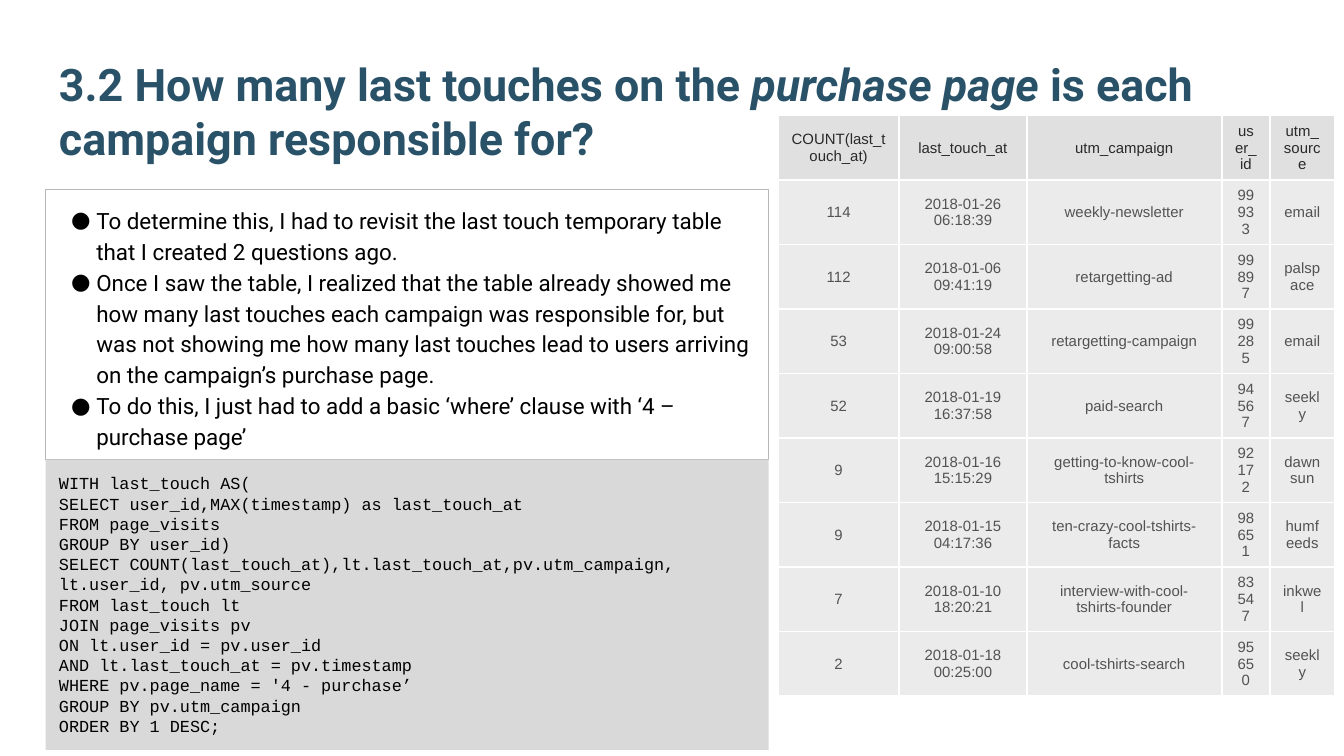
import pptx
import pptx.dml.color
import pptx.enum.shapes
import pptx.enum.text
import pptx.oxml
import pptx.oxml.ns
import pptx.util

COLORS = {
    "title": "295269", "text": "000000", "outline": "B7B7B7", "code": "D9D9D9",
    "header": "E0E0E0", "header text": "292929",
    "body": "EBEBEB", "body text": "525252", "rule": "FFFFFF",
}
WIDTH = 10
HEIGHT = WIDTH * 9 / 16
CELL = 0.1  # side of a grid cell, in inches

TITLE = [
    ("3.2 How many last touches on the ", False),
    ("purchase page ", True),
    ("is each campaign responsible for?", False),
]
FINDINGS = [
    "To determine this, I had to revisit the last touch temporary table that I created "
    "2 questions ago.",
    "Once I saw the table, I realized that the table already showed me how many last touches "
    "each campaign was responsible for, but was not showing me how many last touches lead to "
    "users arriving on the campaign’s purchase page.",
    "To do this, I just had to add a basic ‘where’ clause with ‘4 – purchase page’",
]
QUERY = """WITH last_touch AS(
SELECT user_id,MAX(timestamp) as last_touch_at
FROM page_visits
GROUP BY user_id)
SELECT COUNT(last_touch_at),lt.last_touch_at,pv.utm_campaign, lt.user_id, pv.utm_source
FROM last_touch lt
JOIN page_visits pv
ON lt.user_id = pv.user_id
AND lt.last_touch_at = pv.timestamp
WHERE pv.page_name = '4 - purchase’
GROUP BY pv.utm_campaign
ORDER BY 1 DESC;"""
TOUCHES = [
    ("COUNT(last_touch_at)", "last_touch_at", "utm_campaign", "user_id", "utm_source"),
    ("114", "2018-01-26 06:18:39", "weekly-newsletter", "99933", "email"),
    ("112", "2018-01-06 09:41:19", "retargetting-ad", "99897", "palspace"),
    ("53", "2018-01-24 09:00:58", "retargetting-campaign", "99285", "email"),
    ("52", "2018-01-19 16:37:58", "paid-search", "94567", "seekly"),
    ("9", "2018-01-16 15:15:29", "getting-to-know-cool-tshirts", "92172", "dawnsun"),
    ("9", "2018-01-15 04:17:36", "ten-crazy-cool-tshirts-facts", "98651", "humfeeds"),
    ("7", "2018-01-10 18:20:21", "interview-with-cool-tshirts-founder", "83547", "inkwel"),
    ("2", "2018-01-18 00:25:00", "cool-tshirts-search", "95650", "seekly"),
]


def grid(cells):
    return pptx.util.Inches(cells * CELL)


def rgb(name):
    return pptx.dml.color.RGBColor.from_string(COLORS[name])


def apply(target, values):
    for name, value in values.items():
        setattr(target, name, value)


class Page:
    """Holds the text styles and the slide being filled."""

    fonts = {
        "title": {"name": "Roboto", "size": pptx.util.Pt(24), "bold": True},
        "findings": {"name": "Roboto", "size": pptx.util.Pt(12)},
        "query": {"name": "Courier New", "size": pptx.util.Pt(9)},
        "table": {"name": "Arial", "size": pptx.util.Pt(8), "bold": False},
    }

    def __init__(self, slide):
        self.slide = slide

    def style(self, font, role, color):
        apply(font, self.fonts[role])
        font.color.rgb = rgb(color)

    def frame(self, shape, left=1, anchor=pptx.enum.text.MSO_ANCHOR.TOP):
        apply(shape.text_frame, {
            "word_wrap": True, "vertical_anchor": anchor, "margin_left": grid(left),
            "margin_top": grid(1), "margin_right": grid(1), "margin_bottom": grid(1),
        })
        return shape.text_frame

    def title(self, box, runs):
        heading = self.slide.shapes.add_textbox(*map(grid, box))
        frame = self.frame(heading, anchor=pptx.enum.text.MSO_ANCHOR.BOTTOM)
        for text, italic in runs:
            run = frame.paragraphs[0].add_run()
            run.text = text
            self.style(run.font, "title", "title")
            run.font.italic = italic

    def panel(self, box, lines, role, fill=None, outline=None, left=1, bullets=False):
        panel = self.slide.shapes.add_shape(
            pptx.enum.shapes.MSO_SHAPE.RECTANGLE, *map(grid, box))
        panel.shadow.inherit = False
        for part, color in ((panel.fill, fill), (panel.line.fill, outline)):
            if color:
                part.solid()
                part.fore_color.rgb = rgb(color)
            else:
                part.background()
        if outline:
            panel.line.width = pptx.util.Pt(0.75)
        frame = self.frame(panel, left)
        frame.text = "\n".join(lines)
        for paragraph in frame.paragraphs:
            paragraph.alignment = pptx.enum.text.PP_ALIGN.LEFT
            if bullets:
                self.bullet(paragraph, self.fonts[role])
            for run in paragraph.runs:
                self.style(run.font, role, "text")

    def bullet(self, paragraph, font):
        properties = paragraph._p.get_or_add_pPr()
        properties.set("marL", str(grid(1.88)))
        properties.set("indent", str(grid(-2.08)))
        namespace = pptx.oxml.ns.nsdecls("a")
        for xml in (
            f'<a:buClr {namespace}><a:srgbClr val="{COLORS["text"]}"/></a:buClr>',
            f'<a:buSzPts {namespace} val="{font["size"].centipoints}"/>',
            f'<a:buFont {namespace} typeface="{font["name"]}"/>',
            f'<a:buChar {namespace} char="●"/>',
        ):
            properties.append(pptx.oxml.parse_xml(xml))
        paragraph.line_spacing = 1.15

    def table(self, left, top, columns, row_height, rows):
        box = (left, top, sum(columns), row_height * len(rows))
        table = self.slide.shapes.add_table(
            len(rows), len(columns), *map(grid, box)).table
        for column, width in zip(table.columns, columns):
            column.width = grid(width)
        for r, values in enumerate(rows):
            table.rows[r].height = grid(row_height)
            for c, text in enumerate(values):
                self.cell(table.cell(r, c), text, "body" if r else "header")

    def cell(self, cell, text, kind):
        cell.text = text
        apply(cell, {
            "vertical_anchor": pptx.enum.text.MSO_ANCHOR.MIDDLE,
            "margin_left": grid(0.94), "margin_right": grid(0.94),
            "margin_top": grid(0.4), "margin_bottom": grid(0.4),
        })
        paragraph = cell.text_frame.paragraphs[0]
        paragraph.alignment = pptx.enum.text.PP_ALIGN.CENTER
        self.style(paragraph.runs[0].font, "table", f"{kind} text")
        # Borders come before the fill in the cell properties
        for side in "LRTB":
            cell._tc.get_or_add_tcPr().append(pptx.oxml.parse_xml(
                f'<a:ln{side} {pptx.oxml.ns.nsdecls("a")} w="{pptx.util.Pt(1)}"><a:solidFill>'
                f'<a:srgbClr val="{COLORS["rule"]}"/></a:solidFill></a:ln{side}>'))
        cell.fill.solid()
        cell.fill.fore_color.rgb = rgb(kind)


def main():
    deck = pptx.Presentation()
    deck.slide_width = pptx.util.Inches(WIDTH)
    deck.slide_height = pptx.util.Inches(HEIGHT)
    page = Page(deck.slides.add_slide(deck.slide_layouts[6]))

    # Heading
    page.title((3.4, 4, 93.2, 9.2), TITLE)

    # Findings above the query, in one column
    left, top, width, findings_height = 3.4, 14.1, 53.8, 20.1
    page.panel((left, top, width, findings_height), FINDINGS, "findings",
               outline="outline", left=1.88, bullets=True)
    page.panel((left, top + findings_height, width, 21.6), QUERY.splitlines(), "query",
               fill="code")

    # Query result
    page.table(57.9, 8.6, (9, 9.5, 14.5, 3.6, 4.8), 4.8, TOUCHES)

    deck.save("out.pptx")


if __name__ == "__main__":
    main()
